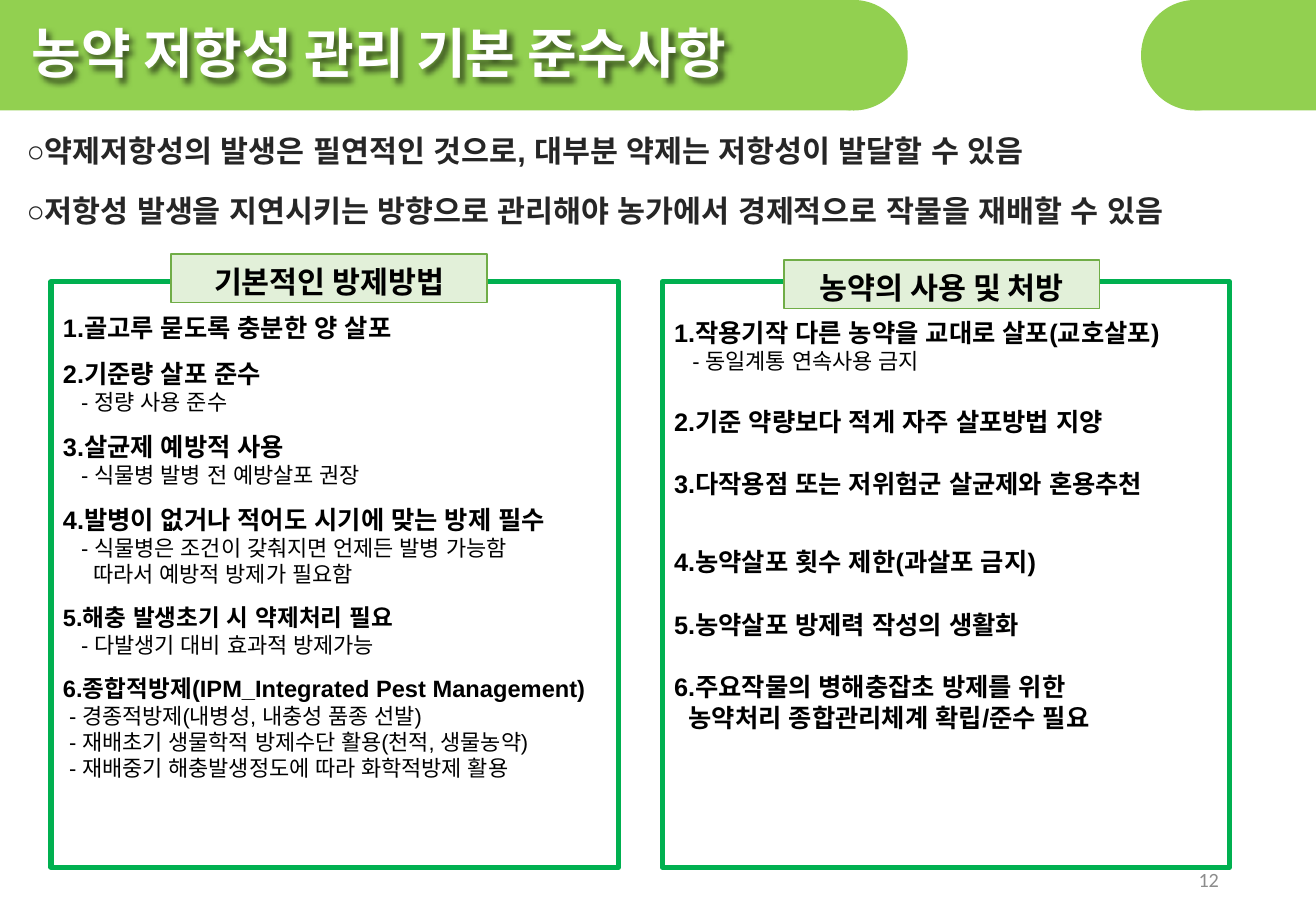
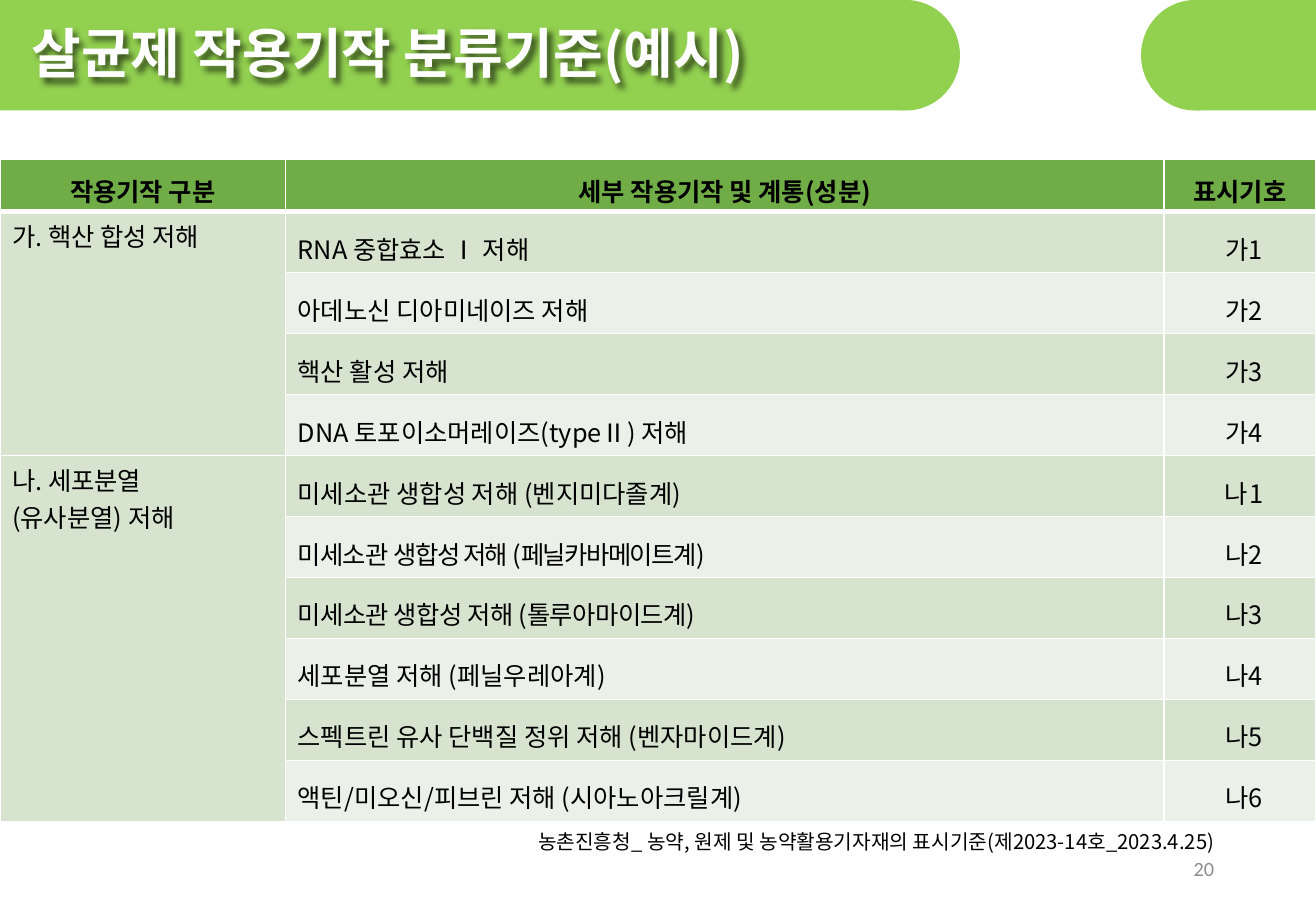
import pptx
import pptx.dml.color
import pptx.enum.shapes
import pptx.enum.text
import pptx.oxml.ns
import pptx.util
from lxml import etree

Inches = pptx.util.Inches
Pt = pptx.util.Pt
RGB = pptx.dml.color.RGBColor
Shape = pptx.enum.shapes.MSO_SHAPE
Align = pptx.enum.text.PP_ALIGN
Anchor = pptx.enum.text.MSO_ANCHOR
qn = pptx.oxml.ns.qn

LIME = RGB(0x92, 0xD0, 0x50)
GREEN = RGB(0x00, 0xB0, 0x50)
LEAF = RGB(0x70, 0xAD, 0x47)
PALE = RGB(0xE2, 0xF0, 0xD9)
BANDS = (RGB(0xEB, 0xF1, 0xE9), RGB(0xD5, 0xE3, 0xCF))
WHITE = RGB(0xFF, 0xFF, 0xFF)
BLACK = RGB(0, 0, 0)
DARK = RGB(0x26, 0x26, 0x26)
GREY = RGB(0x8C, 0x8C, 0x8C)

NOTO = "Noto Sans CJK KR"
WIDTH = 10.83
BLANK = 9.5  # points in one gap step between list items


def write(par, text, size=15, font=NOTO, color=BLACK, bold=False,
          align=Align.LEFT, before=0, indent=0, line=None, track=0):
    """Add a run to a paragraph; indent is in inches, before and track in points."""
    par.alignment = align
    par.space_before = Pt(before)
    if line:
        par.line_spacing = line
    if indent:
        par._p.get_or_add_pPr().set("marL", str(Inches(indent)))
    run = par.add_run()
    run.text = text
    run.font.size = Pt(size)
    run.font.name = font
    run.font.bold = bold
    run.font.color.rgb = color
    props = run._r.get_or_add_rPr()
    if track:
        props.set("spc", str(round(track * 100)))
    etree.SubElement(props, qn("a:ea"), typeface=font)


def pad(frame, left=0.1, top=0.05, right=0.1, bottom=0.05):
    frame.margin_left, frame.margin_top = Inches(left), Inches(top)
    frame.margin_right, frame.margin_bottom = Inches(right), Inches(bottom)


def next_par(frame, index):
    return frame.add_paragraph() if index else frame.paragraphs[0]


class Deck:
    def __init__(self):
        self.file = pptx.Presentation()
        self.file.slide_width = Inches(WIDTH)
        self.file.slide_height = Inches(7.5)
        self.slide = None

    def start(self, title, band):
        """Open a slide whose title band is a bar of the given width with a round end."""
        self.slide = self.file.slides.add_slide(self.file.slide_layouts[5])
        for left, width, cap in ((0, band, band - 0.42), (9.84, 0.99, 9.39)):
            self.shape(Shape.OVAL, cap, 0, 0.89, 0.91, fill=LIME)
            self.shape(Shape.RECTANGLE, left, 0, width, 0.91, fill=LIME)
        self.title(title)

    def title(self, text):
        box = self.slide.shapes.title
        box.left, box.top = Inches(0.26), Inches(0.14)
        box.width, box.height = Inches(7.64), Inches(0.58)
        box.fill.background()
        frame = box.text_frame
        frame.auto_size = pptx.enum.text.MSO_AUTO_SIZE.NONE
        frame.vertical_anchor = Anchor.MIDDLE
        pad(frame, 0, 0, 0, 0)
        write(frame.paragraphs[0], text, size=32, color=WHITE, bold=True)
        effects = etree.SubElement(box.element.spPr, qn("a:effectLst"))
        shadow = etree.SubElement(effects, qn("a:outerShdw"), blurRad="50800",
                                  dist="38100", dir="2700000", algn="tl")
        shade = etree.SubElement(shadow, qn("a:srgbClr"), val="000000")
        etree.SubElement(shade, qn("a:alpha"), val="60000")
        box.element.getparent().append(box.element)

    def shape(self, kind, left, top, width, height, fill=None, line=None, weight=1):
        item = self.slide.shapes.add_shape(
            kind, Inches(left), Inches(top), Inches(width), Inches(height))
        item.shadow.inherit = False
        if fill is None:
            item.fill.background()
        else:
            item.fill.solid()
            item.fill.fore_color.rgb = fill
        if line is None:
            item.line.fill.background()
        else:
            item.line.color.rgb = line
            item.line.width = Pt(weight)
        return item

    def text(self, left, top, width, height, lines, gap=0,
             anchor=Anchor.TOP, **style):
        box = self.slide.shapes.add_textbox(
            Inches(left), Inches(top), Inches(width), Inches(height))
        frame = box.text_frame
        frame.word_wrap = True
        frame.vertical_anchor = anchor
        for index, line in enumerate(lines):
            write(next_par(frame, index), line, before=gap if index else 0, **style)

    def panel(self, left, inset, items):
        """Framed list; each item is (gap steps before, size, indent, text)."""
        box = self.shape(Shape.RECTANGLE, left, 2.32, 4.67, 4.82, line=GREEN, weight=3)
        frame = box.text_frame
        frame.word_wrap = True
        frame.vertical_anchor = Anchor.TOP
        pad(frame, top=inset)
        for index, (steps, size, indent, text) in enumerate(items):
            write(next_par(frame, index), text, size=size, font="Arial",
                  bold=size > 13, before=steps * BLANK, indent=indent)

    def label(self, left, top, text):
        box = self.shape(Shape.RECTANGLE, left, top, 2.6, 0.4, fill=PALE, line=LEAF)
        frame = box.text_frame
        frame.vertical_anchor = Anchor.MIDDLE
        pad(frame, bottom=0)
        write(frame.paragraphs[0], text, size=18, font="Calibri", bold=True,
              align=Align.CENTER)

    def cell(self, cell, fill, lines, base=1, anchor=Anchor.MIDDLE, **style):
        """Fill a table cell; a line is a list of (text, tracking) runs."""
        props = cell._tc.get_or_add_tcPr()
        for side, weight in (("L", 1), ("R", 1), ("T", 1), ("B", base)):
            edge = etree.SubElement(props, qn("a:ln" + side), w=str(Pt(weight)))
            paint = etree.SubElement(edge, qn("a:solidFill"))
            etree.SubElement(paint, qn("a:srgbClr"), val=str(WHITE))
        cell.fill.solid()
        cell.fill.fore_color.rgb = fill
        cell.vertical_anchor = anchor
        for index, runs in enumerate(lines):
            par = next_par(cell.text_frame, index)
            for text, track in runs:
                write(par, text, track=track, **style)

    def table(self, top, widths, heads, groups):
        """Table of groups, each (name lines, [(runs, (code, tracking)), ...])."""
        count = 1 + sum(len(rows) for _, rows in groups)
        grid = self.slide.shapes.add_table(
            count, len(widths), 0, Inches(top), Inches(WIDTH),
            Inches(0.38 + 0.5 * (count - 1))).table
        grid.first_row = grid.horz_banding = False
        for column, width in zip(grid.columns, widths):
            column.width = Inches(width)
        for index, row in enumerate(grid.rows):
            row.height = Inches(0.5 if index else 0.38)
        for index, head in enumerate(heads):
            cell = grid.cell(0, index)
            pad(cell, 0.07, 0.02, 0.07, 0.02)
            self.cell(cell, LEAF, [[(head, 0)]], base=3, bold=True,
                      align=Align.CENTER, line=1.3)
        place = 1
        for names, rows in groups:
            first = grid.cell(place, 0)
            first.merge(grid.cell(place + len(rows) - 1, 0))
            pad(first)
            self.cell(first, BANDS[1], [[(name, 0)] for name in names],
                      anchor=Anchor.TOP)
            for runs, code in rows:
                pairs = ((1, runs, Align.LEFT), (2, [code], Align.CENTER))
                for column, parts, align in pairs:
                    cell = grid.cell(place, column)
                    pad(cell, 0.1, 0.06, 0.04, 0.05)
                    self.cell(cell, BANDS[place % 2], [parts], align=align, line=1.3)
                place += 1

    def number(self, left, top, text):
        self.text(left, top, 2.44, 0.4, [text], anchor=Anchor.MIDDLE, size=12,
                  font="Calibri", color=GREY, align=Align.RIGHT)


BASICS = [
    (0, 15, 0, "1.골고루 묻도록 충분한 양 살포"),
    (1, 15, 0, "2.기준량 살포 준수"),
    (0, 13, 0.15, "- 정량 사용 준수"),
    (1, 15, 0, "3.살균제 예방적 사용"),
    (0, 13, 0.15, "- 식물병 발병 전 예방살포 권장"),
    (1, 15, 0, "4.발병이 없거나 적어도 시기에 맞는 방제 필수"),
    (0, 13, 0.15, "- 식물병은 조건이 갖춰지면 언제든 발병 가능함"),
    (0, 13, 0.25, "따라서 예방적 방제가 필요함"),
    (1, 14, 0, "5.해충 발생초기 시 약제처리 필요"),
    (0, 13, 0.15, "- 다발생기 대비 효과적 방제가능"),
    (1, 14, 0, "6.종합적방제(IPM_Integrated Pest Management)"),
    (0, 13, 0.05, "- 경종적방제(내병성, 내충성 품종 선발)"),
    (0, 13, 0.05, "- 재배초기 생물학적 방제수단 활용(천적, 생물농약)"),
    (0, 13, 0.05, "- 재배중기 해충발생정도에 따라 화학적방제 활용"),
]
USES = [
    (0, 15, 0, "1.작용기작 다른 농약을 교대로 살포(교호살포)"),
    (0, 13, 0.15, "- 동일계통 연속사용 금지"),
    (2, 15, 0, "2.기준 약량보다 적게 자주 살포방법 지양"),
    (2, 15, 0, "3.다작용점 또는 저위험군 살균제와 혼용추천"),
    (3, 15, 0, "4.농약살포 횟수 제한(과살포 금지)"),
    (2, 15, 0, "5.농약살포 방제력 작성의 생활화"),
    (2, 15, 0, "6.주요작물의 병해충잡초 방제를 위한"),
    (0, 15, 0.12, "농약처리 종합관리체계 확립/준수 필요"),
]
GROUPS = [
    (["가. 핵산 합성 저해"], [
        ([("RNA 중합효소 Ⅰ 저해", 0)], ("가1", 0)),
        ([("아데노신 디아미네이즈 저해", 0)], ("가2", 0)),
        ([("핵산 활성 저해", 0)], ("가3", 0)),
        ([("DNA 토포이소머레이즈(typeⅡ) 저해", 0)], ("가4", 0)),
    ]),
    (["나. 세포분열", "(유사분열) 저해"], [
        ([("미세소관 생합성 저해 (벤지미다졸계)", 0)], ("나1", 1)),
        ([("미세소관 ", -0.4), ("생합성 저해 (페닐카바메이트계)", -0.9)], ("나2", 0)),
        ([("미세소관 생합성 저해 (톨루아마이드계)", -0.3)], ("나3", 0)),
        ([("세포분열 저해 (페닐우레아계)", 0)], ("나4", 0)),
        ([("스펙트린 유사 단백질 정위 저해 (벤자마이드계)", 0)], ("나5", 0)),
        ([("액틴/미오신/피브린 저해 (시아노아크릴계)", 0)], ("나6", 0)),
    ]),
]


def main():
    deck = Deck()
    deck.start("농약 저항성 관리 기본 준수사항", 7)
    deck.text(0, 1.04, WIDTH, 0.91, [
        "○약제저항성의 발생은 필연적인 것으로, 대부분 약제는 저항성이 발달할 수 있음",
        "○저항성 발생을 지연시키는 방향으로 관리해야 농가에서 경제적으로 작물을 재배할 수 있음",
    ], gap=14, size=18, font="Arial", color=DARK, bold=True, indent=0.12)
    deck.panel(0.42, 0.25, BASICS)
    deck.panel(5.45, 0.29, USES)
    deck.label(1.41, 2.09, "기본적인 방제방법")
    deck.label(6.45, 2.14, "농약의 사용 및 처방")
    deck.number(7.69, 7.04, "12")

    deck.start("살균제 작용기작 분류기준(예시)", 7.43)
    deck.table(1.31, (2.35, 7.23, 1.25),
               ("작용기작 구분", "세부 작용기작 및 계통(성분)", "표시기호"), GROUPS)
    deck.text(4.33, 6.78, 6.19, 0.3, [
        "농촌진흥청_ 농약, 원제 및 농약활용기자재의 표시기준(제2023-14호_2023.4.25)",
    ], size=12)
    deck.number(7.65, 6.95, "20")
    deck.file.save("out.pptx")


if __name__ == "__main__":
    main()
